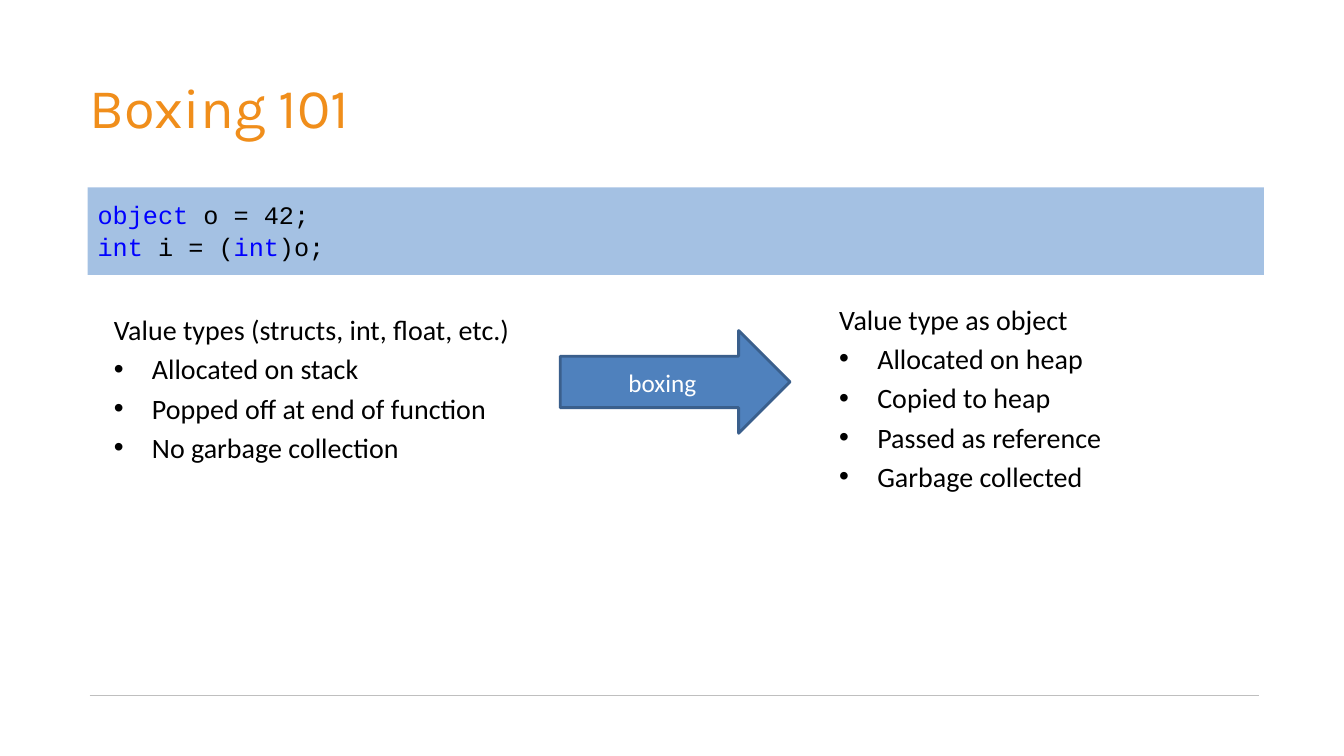
from lxml import etree
from pptx import Presentation
from pptx.dml.color import RGBColor
from pptx.enum.shapes import MSO_CONNECTOR, MSO_SHAPE
from pptx.enum.text import MSO_ANCHOR, PP_ALIGN
from pptx.oxml.ns import qn
from pptx.util import Cm, Pt

LINE = MSO_CONNECTOR.STRAIGHT
RECT = MSO_SHAPE.RECTANGLE
ARROW = MSO_SHAPE.RIGHT_ARROW
TOP, MIDDLE = MSO_ANCHOR.TOP, MSO_ANCHOR.MIDDLE
LEFT, CENTER = PP_ALIGN.LEFT, PP_ALIGN.CENTER

HEX = {
    "title": "F08E1B",
    "code": "4B84C9",
    "key": "0000FF",
    "text": "000000",
    "white": "FFFFFF",
    "arrow": "4F81BD",
    "edge": "3A5F8C",
    "rule": "BFBFBF",
}


def color(name):
    return RGBColor.from_string(HEX[name])


class Deck:
    body = "Calibri"
    mono = "Courier New"
    head = "Karla"
    pad = (0.25, 0.13, 0.25, 0.13)

    def __init__(self):
        self.show = Presentation()
        self.show.slide_width = Cm(33.87)
        self.show.slide_height = Cm(19.05)
        self.slide = self.show.slides.add_slide(self.show.slide_layouts[6])

    def frame(self, shape, pad=pad, anchor=TOP):
        frame = shape.text_frame
        frame.word_wrap = True
        frame.vertical_anchor = anchor
        frame.margin_left, frame.margin_top, frame.margin_right, frame.margin_bottom = map(Cm, pad)
        return frame

    def para(self, frame, first, align=LEFT):
        para = frame.paragraphs[0] if first else frame.add_paragraph()
        para.alignment = align
        return para

    def run(self, para, text, font, size, tint):
        run = para.add_run()
        run.text = text
        run.font.name = font
        run.font.size = Pt(size)
        run.font.color.rgb = color(tint)

    def bullet(self, para):
        props = para._p.get_or_add_pPr()
        props.set("marL", str(Cm(0.96)))
        props.set("indent", str(-Cm(0.96)))
        etree.SubElement(props, qn("a:buFont")).set("typeface", "Arial")
        etree.SubElement(props, qn("a:buChar")).set("char", "•")

    def shape(self, kind, box, fill):
        shape = self.slide.shapes.add_shape(kind, *map(Cm, box))
        shape.shadow.inherit = False
        shape.fill.solid()
        shape.fill.fore_color.rgb = color(fill)
        return shape

    def rule(self, left, right, top):
        rule = self.slide.shapes.add_connector(LINE, Cm(left), Cm(top), Cm(right), Cm(top))
        rule.line.color.rgb = color("rule")
        rule.line.width = Pt(0.75)
        etree.SubElement(rule._element.spPr, qn("a:effectLst"))

    def title(self, text, box):
        shape = self.slide.shapes.add_textbox(*map(Cm, box))
        frame = self.frame(shape, (0, 0, 0.25, 0.13), MIDDLE)
        self.run(self.para(frame, True), text, self.head, 40, "title")

    def code(self, rows, box):
        shape = self.shape(RECT, box, "code")
        shape.line.fill.background()
        tint = shape._element.spPr.find(qn("a:solidFill"))[0]
        etree.SubElement(tint, qn("a:alpha")).set("val", "50000")
        frame = self.frame(shape, (0.25, 0.25, 0.25, 0.13))
        for i, row in enumerate(rows):
            para = self.para(frame, i == 0)
            para.line_spacing = 1.07
            for text, tint in row:
                self.run(para, text, self.mono, 18, tint)

    def points(self, lead, items, box):
        frame = self.frame(self.slide.shapes.add_textbox(*map(Cm, box)))
        for i, text in enumerate([lead] + items):
            para = self.para(frame, i == 0)
            para.space_before = Pt(4)
            if i:
                self.bullet(para)
            self.run(para, text, self.body, 20, "text")

    def arrow(self, text, box):
        shape = self.shape(ARROW, box, "arrow")
        shape.line.color.rgb = color("edge")
        shape.line.width = Pt(2)
        frame = self.frame(shape, anchor=MIDDLE)
        self.run(self.para(frame, True, CENTER), text, self.body, 18, "white")


def main():
    deck = Deck()
    deck.rule(2.26, 31.72, 17.53)
    deck.title("Boxing 101", (2.26, 1.32, 29.59, 2.82))
    deck.code(
        [
            [("object", "key"), (" o = 42;", "text")],
            [("int ", "key"), ("i = (", "text"), ("int", "key"), (")o;", "text")],
        ],
        (2.21, 4.72, 29.64, 2.21),
    )
    deck.points(
        "Value type as object",
        ["Allocated on heap", "Copied to heap", "Passed as reference", "Garbage collected"],
        (20.9, 7.49, 10.92, 9.73),
    )
    deck.points(
        "Value types (structs, int, float, etc.)",
        ["Allocated on stack", "Popped off at end of function", "No garbage collection"],
        (2.62, 7.75, 10.92, 9.73),
    )
    deck.arrow("boxing", (14.12, 8.33, 5.79, 2.59))
    deck.show.save("out.pptx")


if __name__ == "__main__":
    main()
